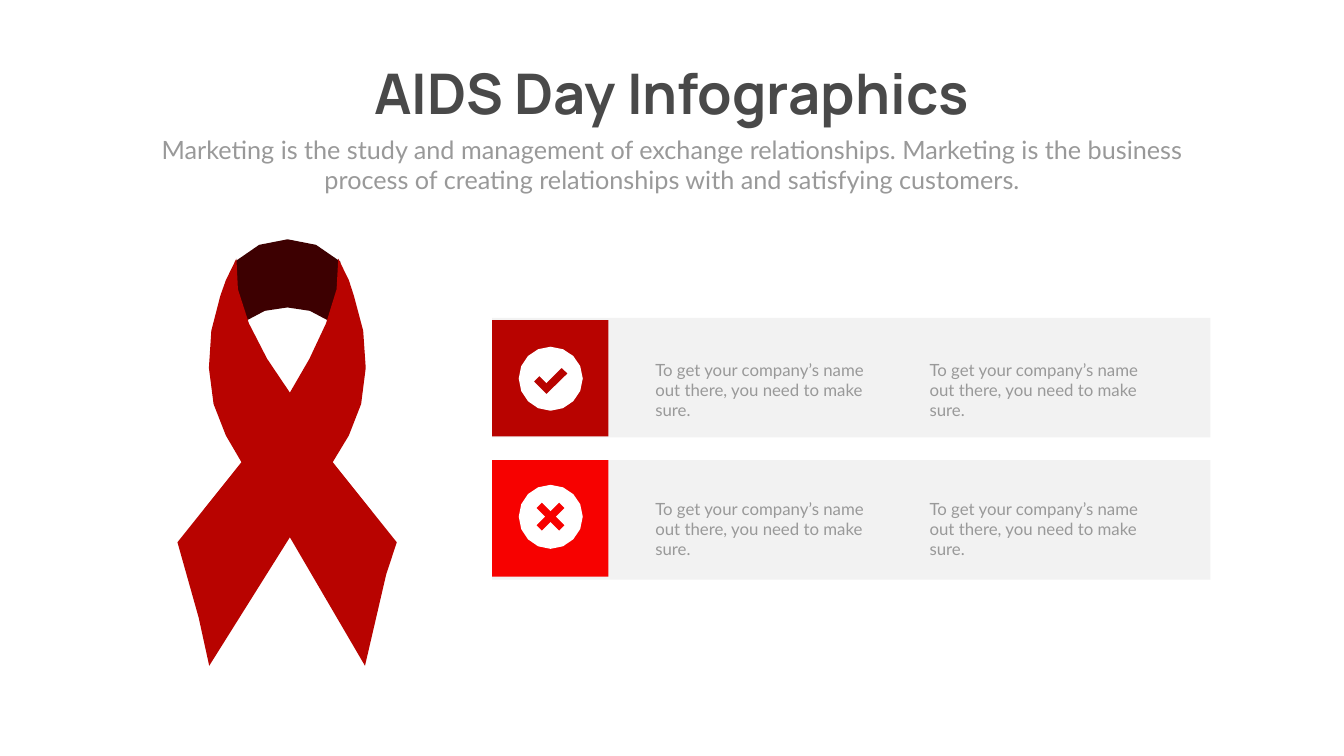
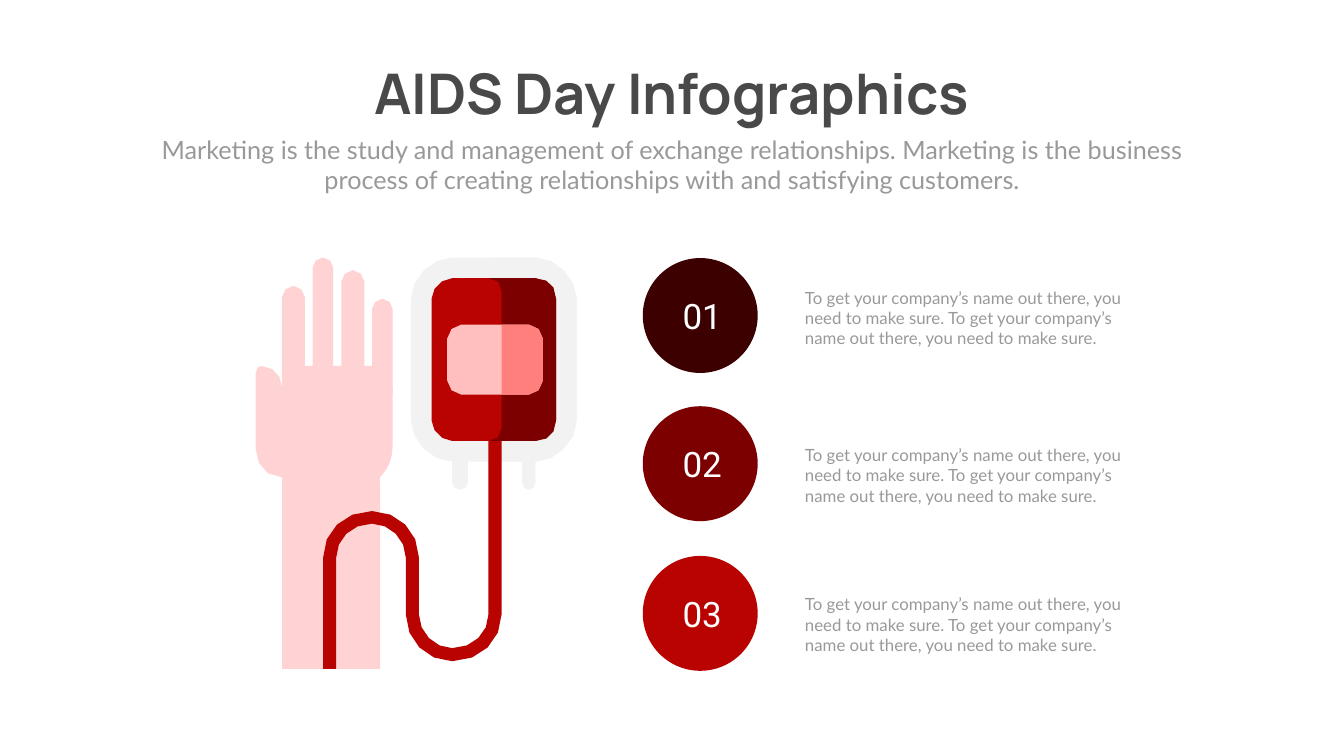
"""Build two AIDS Day infographic slides: a ribbon with pros and cons, and a blood donation."""
from pptx import Presentation
from pptx.dml.color import RGBColor
from pptx.enum.shapes import MSO_SHAPE as SHAPE
from pptx.enum.text import MSO_ANCHOR as ANCHOR, MSO_AUTO_SIZE as AUTO, PP_ALIGN as ALIGN
from pptx.util import Inches, Pt

COLS, ROWS = 26.66, 15
DARK, MAROON, RED, BRIGHT = "3D0001", "7C0000", "B80300", "F70100"
SKIN, PINK, ROSE = "FFD2D3", "FFBFBE", "FF7F7D"
PALE, WHITE, GREY, INK = "F2F2F2", "FFFFFF", "999999", "494949"

prs = Presentation()
prs.slide_width, prs.slide_height = Inches(COLS), Inches(ROWS)
col, row = prs.slide_width / COLS, prs.slide_height / ROWS


def write(s, text, box, sp=None, size=24, font="Lato", color=GREY, bold=False,
          align=ALIGN.LEFT, wrap=True):
    """Write text in a new text box, or in the given placeholder."""
    left, top, width, height = [round(v * u) for v, u in zip(box, (col, row) * 2)]
    sp = sp or s.shapes.add_textbox(left, top, width, height)
    sp.left, sp.top, sp.width, sp.height = left, top, width, height
    tf = sp.text_frame
    tf.word_wrap, tf.auto_size, tf.vertical_anchor = wrap, AUTO.SHAPE_TO_FIT_TEXT, ANCHOR.TOP
    p = tf.paragraphs[0]
    p.alignment = align
    r = p.add_run()
    r.text = text
    r.font.name, r.font.size, r.font.bold = font, Pt(size), bold
    r.font.color.rgb = RGBColor.from_string(color)


def draw(s, what, color, box=None, at=(0, 0)):
    """Draw a preset shape in a box, or an outline of M, L and C commands moved to a point."""
    if box:
        sp = s.shapes.add_shape(what, *[round(v * u) for v, u in zip(box, (col, row) * 2)])
    else:
        contours, curve = [], []
        for token in what.split():
            if token.isalpha():
                cmd = token
                continue
            x, y = [float(v) for v in token.split(",")]
            point = (x + at[0], y + at[1])
            if cmd == "M":
                contours.append([point])
            elif cmd == "C":
                curve.append(point)
            elif point != contours[-1][-1]:
                contours[-1].append(point)
            if len(curve) == 3:
                a, (b, c, d) = contours[-1][-1], curve
                span = max(abs(d[0] - a[0]), abs(d[1] - a[1]))
                steps = 2 + (span > 0.3) + (span > 0.6) if span else 0
                for t in [k / steps for k in range(1, steps + 1)]:
                    u = 1 - t
                    contours[-1].append(tuple(
                        u**3 * a[i] + 3 * u * u * t * b[i] + 3 * u * t * t * c[i] + t**3 * d[i]
                        for i in (0, 1)))
                curve = []
        contours = [[(x * col, y * row) for x, y in points] for points in contours]
        builder = s.shapes.build_freeform(*contours[0][0])
        for n, points in enumerate(contours):
            if n:
                builder.move_to(*points[0])
            builder.add_line_segments(points[1:], close=True)
        sp = builder.convert_to_shape()
    sp.shadow.inherit = False
    sp.fill.solid()
    sp.fill.fore_color.rgb = RGBColor.from_string(color)
    sp.line.fill.background()


slides = [prs.slides.add_slide(prs.slide_layouts[5]) for _ in range(2)]
for s in slides:
    write(s, "AIDS Day Infographics", (6.83, 1.12, 12.99, 1.45), sp=s.shapes.title, size=80,
          font="Manrope", color=INK, bold=True, align=ALIGN.CENTER, wrap=False)
    write(s, "Marketing is the study and management of exchange relationships. Marketing is the "
          "business process of creating relationships with and satisfying customers.",
          (2.92, 2.61, 20.82, 1.31), size=36, align=ALIGN.CENTER)
pros_cons, donation = slides
pitch = "To get your company’s name out there, you need to make sure."

loop = """M 6.75,5.9 L 6.75,5.19 C 6.2,4.6 5.21,4.6 4.66,5.19 L 4.66,5.9 4.76,5.9
    C 4.76,6.01 4.76,6.25 4.87,6.37 C 5.31,6.01 6.09,6.01 6.53,6.37 C 6.64,6.25 6.64,6.01 6.75,5.9"""
ribbon = """M 6.6,9.17 L 6.92,8.64 C 7.35,7.9 7.35,6.73 7.02,5.87 L 6.92,5.56 6.71,5.13
    C 6.81,5.87 6.28,6.94 5.75,7.79 C 5.11,6.94 4.58,5.87 4.69,5.13 L 4.48,5.56 4.37,5.87
    C 4.05,6.73 4.05,7.9 4.48,8.64 L 4.79,9.17 3.52,10.76 3.94,12.25 4.15,13.21 5.75,10.66
    7.24,13.21 7.66,11.4 7.87,10.76"""
draw(pros_cons, loop, DARK)
draw(pros_cons, ribbon, RED)

disc = """M 0,-.63 C -.35,-.63 -.63,-.35 -.63,0 C -.63,.35 -.35,.64 0,.64
    C .35,.64 .64,.35 .64,0 C .64,-.35 .35,-.63 0,-.63 """
tick = "M -.08,.31 L -.33,.06 -.22,-.05 -.08,.09 .22,-.21 .34,-.1"
cross = """M .28,.17 L .17,.28 0,.11 -.17,.28 -.28,.17 -.11,0 -.28,-.17 -.17,-.28
    0,-.11 .17,-.28 .28,-.17 .11,0"""
for bar, tile, text_top, middle, color, mark in [(6.31, 6.35, 7.09, 7.51, RED, tick),
                                                 (9.13, 9.13, 9.84, 10.25, BRIGHT, cross)]:
    draw(pros_cons, SHAPE.RECTANGLE, PALE, (9.76, bar, 14.25, 2.37))
    draw(pros_cons, SHAPE.RECTANGLE, color, (9.76, tile, 2.31, 2.31))
    for left in (12.9, 18.34):
        write(pros_cons, pitch, (left, text_top, 4.81, 0.91))
    draw(pros_cons, disc + mark, WHITE, at=(10.92, middle))

palm = """M 7.38,7.26 L 5.59,7.26 5.59,9.47 7.54,9.47 C 7.74,9.26 7.79,9.06 7.79,8.8
    L 7.79,7.72 C 7.79,7.47 7.64,7.26 7.38,7.26"""
thumb = """M 5.59,8.65 L 5.59,7.67 C 5.59,7.47 5.43,7.26 5.18,7.26 C 5.13,7.26 5.07,7.31 5.07,7.42
    L 5.07,8.9 C 5.07,9.21 5.28,9.47 5.59,9.47 L 6.56,9.47 C 6.56,9.01 6.2,8.65 5.74,8.65"""
tube = """M 6.67,13.27 L 6.41,13.27 6.41,11.06 C 6.41,10.55 6.82,10.14 7.38,10.14
    C 7.9,10.14 8.31,10.55 8.31,11.06 L 8.31,12.19 C 8.31,12.55 8.62,12.86 8.97,12.86
    C 9.39,12.86 9.69,12.55 9.69,12.19 L 9.69,8.75 9.95,8.75 9.95,12.19
    C 9.95,12.7 9.54,13.12 8.97,13.12 C 8.46,13.12 8.05,12.7 8.05,12.19 L 8.05,11.06
    C 8.05,10.7 7.74,10.39 7.38,10.39 C 6.97,10.39 6.67,10.7 6.67,11.06"""
blood_shade = """M 9.69,8.75 C 9.85,8.75 9.95,8.65 9.95,8.49 L 9.95,5.77 C 9.95,5.62 9.85,5.52 9.69,5.52
    L 10.62,5.52 C 10.87,5.52 11.03,5.67 11.03,5.93 L 11.03,8.34 C 11.03,8.6 10.87,8.75 10.62,8.75"""

parts = [
    ((7.38, 5.93, 7.79, 7.83, .2, .2, 0, 0), SKIN),
    (palm, SKIN),
    (thumb, SKIN),
    ((5.59, 5.67, 6.05, 7.26, .23, .23, 0, 0), SKIN),
    ((6.2, 5.11, 6.61, 7.26, .2, .2, 0, 0), SKIN),
    ((6.77, 5.36, 7.23, 7.26, .23, .23, 0, 0), SKIN),
    ((5.59, 9.47, 7.54, 13.27, 0, 0, 0, 0), SKIN),
    ((6.56, 9.73, 7.54, 13.27, .26, 0, 0, 0), SKIN),
    ((8.15, 5.11, 11.44, 9.16, .82, .82, .82, .82), PALE),
    ((9.8, 5.11, 11.44, 9.16, 0, .82, .82, 0), PALE),
    ((8.56, 5.52, 11.03, 8.75, .41, .41, .41, .41), RED),
    ((8.97, 9.16, 9.28, 9.72, 0, 0, .15, .15), PALE),
    ((10.36, 9.16, 10.62, 9.72, 0, 0, .13, .13), PALE),
    (tube, RED),
    (blood_shade, MAROON),
    ((8.87, 6.44, 10.77, 7.83, .28, .28, .28, .28), PINK),
    ((9.95, 6.44, 10.77, 7.83, 0, .28, .28, 0), ROSE),
]
for part, color in parts:
    if isinstance(part, tuple):
        l, t, r, b, tl, tr, br, bl = part
        part = f"""M {l},{t + tl} C {l},{t + tl / 2} {l + tl / 2},{t} {l + tl},{t}
            L {r - tr},{t} C {r - tr / 2},{t} {r},{t + tr / 2} {r},{t + tr}
            L {r},{b - br} C {r},{b - br / 2} {r - br / 2},{b} {r - br},{b}
            L {l + bl},{b} C {l + bl / 2},{b} {l},{b - bl / 2} {l},{b - bl}"""
    draw(donation, part, color)

steps = [(5.12, 5.65, DARK), (8.06, 8.78, MAROON), (11.03, 11.74, RED)]
for n, (top, text_top, color) in enumerate(steps, 1):
    draw(donation, SHAPE.OVAL, color, (12.75, top, 2.28, 2.28))
    write(donation, f"{pitch} {pitch}", (15.87, text_top, 6.6, 1.31))
    write(donation, f"{n:02}", (13.11, top + 0.67, 1.64, 0.94), size=50, font="Roboto",
          color=WHITE, align=ALIGN.CENTER)

prs.save("out.pptx")
